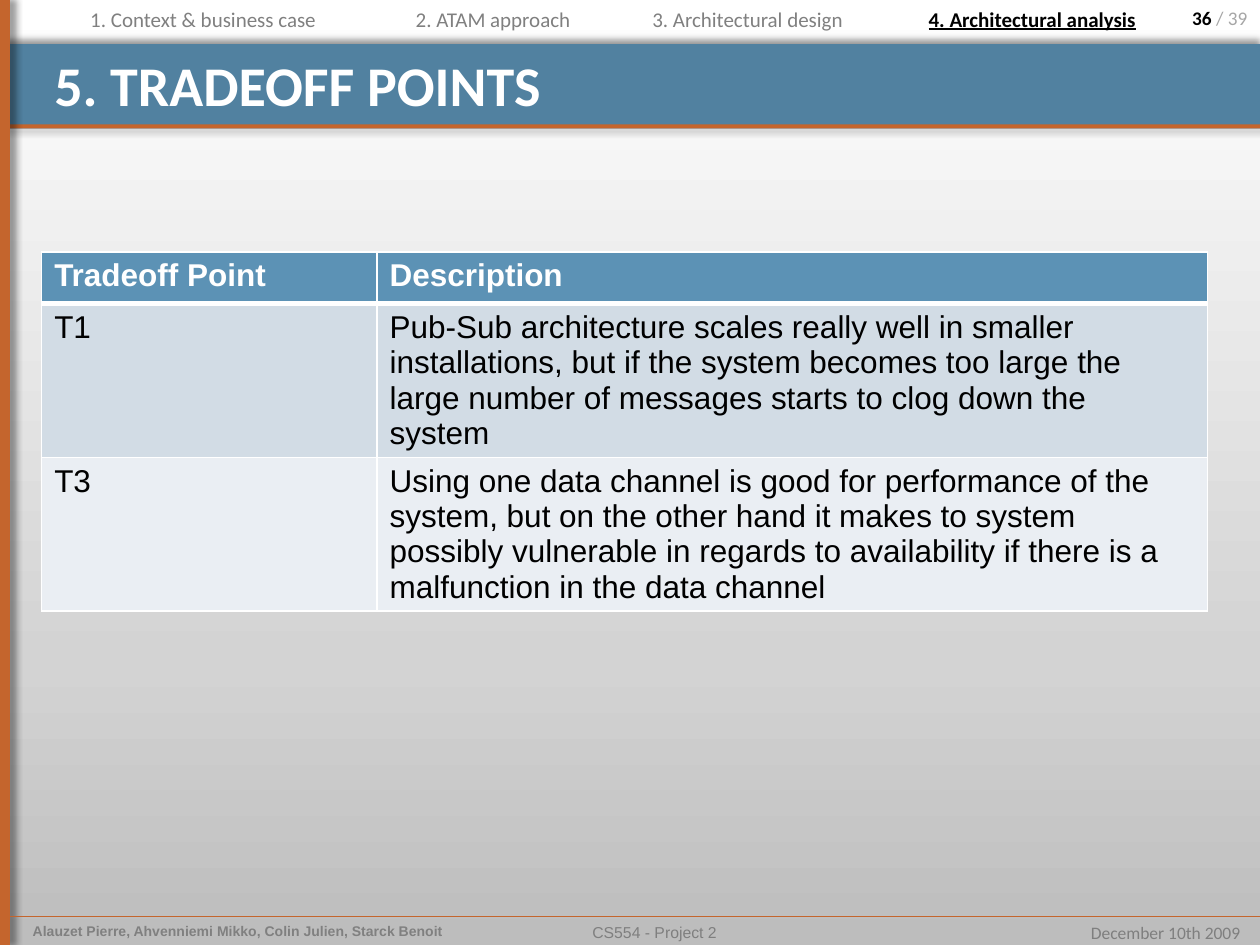
import copy
from dataclasses import dataclass

import pptx
import pptx.dml.color
import pptx.enum.shapes
import pptx.enum.text
import pptx.oxml
import pptx.oxml.ns
import pptx.util

Cm = pptx.util.Cm
Pt = pptx.util.Pt
ALIGN = pptx.enum.text.PP_ALIGN
qn = pptx.oxml.ns.qn
NAMESPACE = pptx.oxml.ns.nsdecls("a")

COLORS = {
    "blue": "5181A0",
    "orange": "C4652D",
    "white": "FFFFFF",
    "black": "000000",
    "grey": "808080",
    "footer": "7F7F7F",
    "page_total": "A6A6A6",
    "table_head": "5C92B5",
    "row_odd": "D2DCE5",
    "row_even": "EAEEF3",
}
BACKGROUND_STOPS = [(0, "BDBDBD"), (30, "D3D3D3"), (100, "FFFFFF")]


@dataclass
class Bar:
    left: float
    top: float
    width: float
    height: float
    color: str
    shadow_angle: int | None = None


@dataclass
class Label:
    runs: list[tuple[str, str]]
    left: float
    top: float
    width: float
    height: float
    size: float
    font: str = "Calibri"
    align: ALIGN = ALIGN.LEFT
    bold: bool = False
    underline: bool = False
    wrap: bool = True


BARS = [
    Bar(0, 0.89, 25.4, 1.7, "blue", 270),
    Bar(0, 2.51, 25.4, 0.08, "orange", 45),
    Bar(0, 0, 0.2, 19.05, "orange", 0),
]
FOOTER_TOP = 18.47
FOOTERS = [
    Label([("Alauzet Pierre, Ahvenniemi Mikko, Colin Julien, Starck Benoit", "grey")],
          0.41, FOOTER_TOP, 9.32, 0.58, 8, "Arial", bold=True),
    Label([("CS554 - Project 2", "footer")],
          5.36, FOOTER_TOP, 15.67, 0.58, 9, "Arial", ALIGN.CENTER),
    Label([("December 10th 2009", "footer")],
          21.67, FOOTER_TOP, 3.58, 0.69, 10, align=ALIGN.RIGHT, wrap=False),
]
SECTIONS = [
    ("1. Context & business case", 1.57, 5.23),
    ("2. ATAM approach", 8.13, 3.81),
    ("3. Architectural design", 12.9, 4.52),
    ("4. Architectural analysis", 18.47, 4.75),
]
CURRENT_SECTION = 3
TABLE_ROWS = [
    ("Tradeoff Point", "Description"),
    ("T1", "Pub-Sub architecture scales really well in smaller installations, "
           "but if the system becomes too large the large number of messages "
           "starts to clog down the system"),
    ("T3", "Using one data channel is good for performance of the system, but on "
           "the other hand it makes to system possibly vulnerable in regards to "
           "availability if there is a malfunction in the data channel"),
]
COLUMN_WIDTHS = [6.76, 16.74]
ROW_HEIGHTS = [1.04, 3.1, 3.1]
ROW_FILLS = ["table_head", "row_odd", "row_even"]


def rgb(name: str) -> pptx.dml.color.RGBColor:
    return pptx.dml.color.RGBColor.from_string(COLORS[name])


def set_effects(shape, shadow_angle: int | None) -> None:
    properties = shape.element.spPr
    for effects in properties.findall(qn("a:effectLst")):
        properties.remove(effects)
    shadow = "" if shadow_angle is None else (
        f'<a:outerShdw blurRad="{Pt(4)}" dist="{Pt(3)}" dir="{shadow_angle * 60000}" '
        'algn="ctr" rotWithShape="0"><a:srgbClr val="000000">'
        '<a:alpha val="40000"/></a:srgbClr></a:outerShdw>')
    properties.append(pptx.oxml.parse_xml(
        f"<a:effectLst {NAMESPACE}>{shadow}</a:effectLst>"))


def paint_background(slide) -> None:
    fill = slide.background.fill
    fill.gradient()
    fill.gradient_angle = 90
    stop_list = slide.element.find(".//" + qn("a:gsLst"))
    stop_list.insert(1, copy.deepcopy(stop_list[0]))
    for stop, (position, color) in zip(fill.gradient_stops, BACKGROUND_STOPS):
        stop.color.rgb = pptx.dml.color.RGBColor.from_string(color)
        stop.position = position / 100


def add_bar(slide, bar: Bar) -> None:
    shape = slide.shapes.add_shape(
        pptx.enum.shapes.MSO_SHAPE.RECTANGLE,
        Cm(bar.left), Cm(bar.top), Cm(bar.width), Cm(bar.height))
    shape.fill.solid()
    shape.fill.fore_color.rgb = rgb(bar.color)
    shape.line.fill.background()
    set_effects(shape, bar.shadow_angle)


def add_footer_line(slide) -> None:
    line = slide.shapes.add_connector(
        pptx.enum.shapes.MSO_CONNECTOR.STRAIGHT,
        Cm(0.2), Cm(FOOTER_TOP), Cm(25.4), Cm(FOOTER_TOP))
    line.line.color.rgb = rgb("orange")
    line.line.width = Pt(0.25)
    set_effects(line, 45)


def add_label(slide, label: Label) -> None:
    box = slide.shapes.add_textbox(
        Cm(label.left), Cm(label.top), Cm(label.width), Cm(label.height))
    box.text_frame.word_wrap = label.wrap
    para = box.text_frame.paragraphs[0]
    para.alignment = label.align
    para.font.name = label.font
    para.font.size = Pt(label.size)
    para.font.bold = label.bold
    para.font.underline = label.underline
    for text, color in label.runs:
        span = para.add_run()
        span.text = text
        span.font.color.rgb = rgb(color)


def place_title(slide, text: str) -> None:
    title = slide.shapes.title
    title.element.getparent().append(title.element)
    title.left, title.top, title.width, title.height = (
        Cm(0.84), Cm(0.89), Cm(23.57), Cm(1.47))
    frame = title.text_frame
    frame.text = text
    frame.vertical_anchor = pptx.enum.text.MSO_ANCHOR.TOP
    frame.auto_size = pptx.enum.text.MSO_AUTO_SIZE.NONE
    para = frame.paragraphs[0]
    para.alignment = ALIGN.LEFT
    para.font.name = "Calibri"
    para.font.size = Pt(32)
    para.font.bold = True
    para.font.color.rgb = rgb("white")


def set_borders(cell, widths: dict[str, float]) -> None:
    properties = cell._tc.get_or_add_tcPr()
    for side, width in widths.items():
        properties.append(pptx.oxml.parse_xml(
            f'<a:ln{side} {NAMESPACE} w="{Pt(width)}"><a:solidFill>'
            f'<a:srgbClr val="{COLORS["white"]}"/></a:solidFill></a:ln{side}>'))


def add_tradeoff_table(slide) -> None:
    table = slide.shapes.add_table(
        len(TABLE_ROWS), len(COLUMN_WIDTHS), Cm(0.84), Cm(5.08),
        Cm(sum(COLUMN_WIDTHS)), Cm(sum(ROW_HEIGHTS))).table
    for column, width in zip(table.columns, COLUMN_WIDTHS):
        column.width = Cm(width)
    for index, (row, texts) in enumerate(zip(table.rows, TABLE_ROWS)):
        row.height = Cm(ROW_HEIGHTS[index])
        is_head = index == 0
        for cell, text in zip(row.cells, texts):
            set_borders(cell, {"L": 1, "R": 1, "T": 3 if index == 1 else 1,
                               "B": 3 if is_head else 1})
            cell.fill.solid()
            cell.fill.fore_color.rgb = rgb(ROW_FILLS[index])
            cell.text = text
            font = cell.text_frame.paragraphs[0].font
            font.name = "Arial"
            font.size = Pt(18)
            font.bold = is_head
            font.color.rgb = rgb("white" if is_head else "black")


def add_page_number(slide) -> None:
    add_label(slide, Label([("36", "black"), (" / 39", "page_total")],
                           22.43, 0, 2.97, 0.99, 11, align=ALIGN.RIGHT))
    box = slide.shapes[-1]
    box.text_frame.paragraphs[0].runs[0].font.bold = True


def main() -> None:
    deck = pptx.Presentation()
    deck.slide_width, deck.slide_height = Cm(25.4), Cm(19.05)
    slide = deck.slides.add_slide(deck.slide_layouts[5])
    paint_background(slide)
    for bar in BARS:
        add_bar(slide, bar)
    add_footer_line(slide)
    for footer in FOOTERS:
        add_label(slide, footer)
    add_page_number(slide)
    add_bar(slide, Bar(0, 0, 0.2, 19.05, "orange"))
    place_title(slide, "5. TRADEOFF POINTS")
    add_tradeoff_table(slide)
    for index, (text, left, width) in enumerate(SECTIONS):
        current = index == CURRENT_SECTION
        add_label(slide, Label([(text, "black" if current else "grey")],
                               left, 0, width, 0.76, 12, bold=current,
                               underline=current, wrap=False))
    deck.save("out.pptx")


if __name__ == "__main__":
    main()
